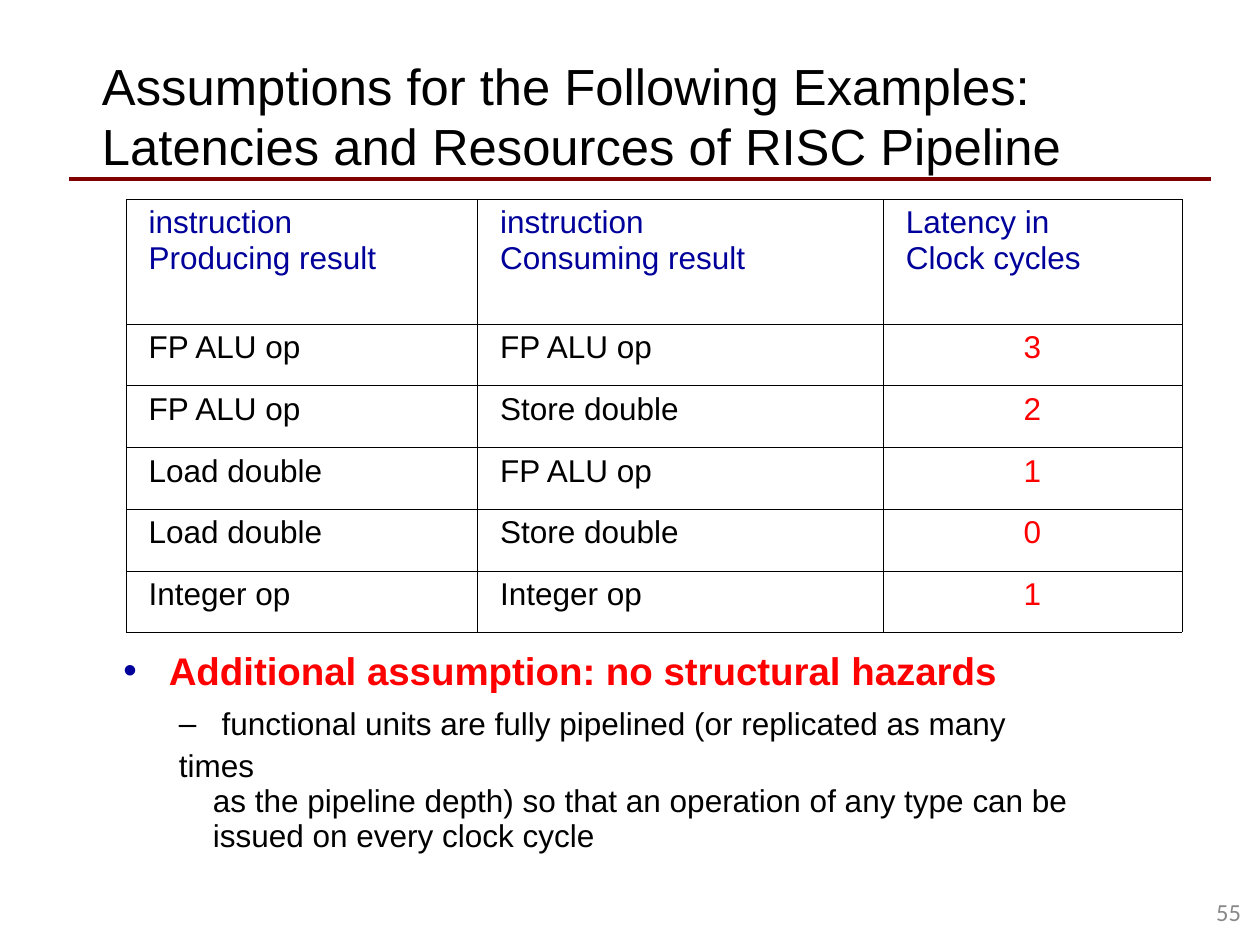
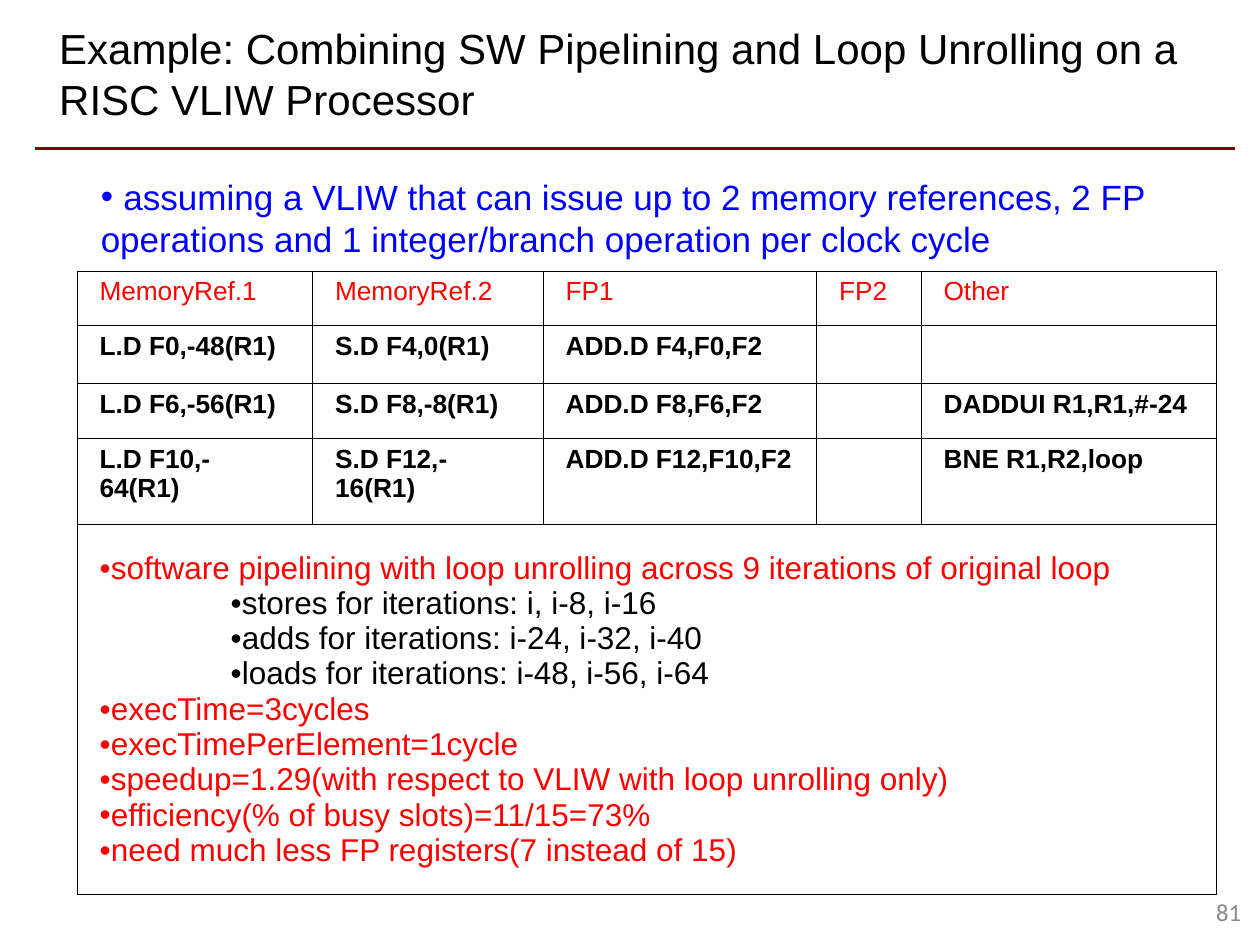
from lxml.etree import SubElement
from pptx import Presentation
from pptx.dml.color import RGBColor
from pptx.enum.shapes import MSO_CONNECTOR
from pptx.enum.text import MSO_ANCHOR, PP_ALIGN
from pptx.oxml.ns import qn
from pptx.util import Inches, Pt

BLACK = RGBColor(0x00, 0x00, 0x00)
WHITE = RGBColor(0xFF, 0xFF, 0xFF)
RED = RGBColor(0xFF, 0x00, 0x00)
NAVY = RGBColor(0x00, 0x00, 0x9A)
BLUE = RGBColor(0x00, 0x00, 0xFF)
MAROON = RGBColor(0x80, 0x00, 0x00)
GRAY = RGBColor(0x89, 0x89, 0x89)

NO_INSETS = (0, 0, 0, 0.09)
BOX_INSETS = (0.18, 0.09, 0.18, 0.09)
CELL_INSETS = (0.18, 0.05, 0.18, 0.05)

# Paragraphs are (text, format) pairs; the format keys are those of add_paragraphs.
LATENCY_TITLE = [
    ("Assumptions for the Following Examples:", {"spacing": 40.1}),
    ("Latencies and Resources of RISC Pipeline", {"spacing": 34.6}),
]
LATENCY_HEADER = [
    ("instruction", "Producing result"),
    ("instruction", "Consuming result"),
    ("Latency in", "Clock cycles"),
]
LATENCIES = [
    ("FP ALU op", "FP ALU op", "3"),
    ("FP ALU op", "Store double", "2"),
    ("Load double", "FP ALU op", "1"),
    ("Load double", "Store double", "0"),
    ("Integer op", "Integer op", "1"),
]
ASSUMPTION = [
    ("Additional assumption: no structural hazards",
     {"spacing": 29.1, "bullet": NAVY, "margin": 0.36, "indent": -0.36}),
]
ASSUMPTION_DETAIL = [
    ("functional units are fully pipelined (or replicated as many",
     {"spacing": 23.7, "bullet": BLACK, "sign": "–", "margin": 0.34, "indent": -0.34}),
    ("times", {"spacing": 23.7}),
    ("as the pipeline depth) so that an operation of any type can be",
     {"spacing": 20, "margin": 0.27}),
    ("issued on every clock cycle", {"spacing": 20, "margin": 0.27}),
]

VLIW_TITLE = [
    ("Example: Combining SW Pipelining and Loop Unrolling on a RISC VLIW Processor", {}),
]
VLIW_ASSUMPTION = [
    ("assuming a VLIW that can issue up to 2 memory references, 2 FP",
     {"bullet": BLUE, "margin": 0.18, "indent": -0.18}),
    ("operations and 1 integer/branch operation per clock cycle", {}),
]
SCHEDULE_HEADER = ("MemoryRef.1", "MemoryRef.2", "FP1", "FP2", "Other")
SCHEDULE = [
    ("L.D F0,-48(R1)", "S.D F4,0(R1)", "ADD.D F4,F0,F2", "", ""),
    ("L.D F6,-56(R1)", "S.D F8,-8(R1)", "ADD.D F8,F6,F2", "", "DADDUI R1,R1,#-24"),
    ("L.D F10,-64(R1)", "S.D F12,-16(R1)", "ADD.D F12,F10,F2", "", "BNE R1,R2,loop"),
]
MAIN_POINT = {"bullet": RED, "margin": 0.09, "indent": -0.09, "color": RED}
SUB_POINT = {"bullet": BLACK, "margin": 1.13, "indent": -0.09, "color": BLACK}
SCHEDULE_NOTES = [
    ("software pipelining with loop unrolling across 9 iterations of original loop", MAIN_POINT),
    ("stores for iterations: i, i-8, i-16", SUB_POINT),
    ("adds for iterations: i-24, i-32, i-40", SUB_POINT),
    ("loads for iterations: i-48, i-56, i-64", SUB_POINT),
    ("execTime=3cycles", MAIN_POINT),
    ("execTimePerElement=1cycle", MAIN_POINT),
    ("speedup=1.29(with respect to VLIW with loop unrolling only)", MAIN_POINT),
    ("efficiency(% of busy slots)=11/15=73%", MAIN_POINT),
    ("need much less FP registers(7 instead of 15)", MAIN_POINT),
]


def set_insets(target, insets):
    sides = ("margin_left", "margin_top", "margin_right", "margin_bottom")
    for side, inset in zip(sides, insets):
        setattr(target, side, Inches(inset))


def add_paragraphs(frame, paragraphs, size, color=BLACK, bold=False, font="Arial", align=PP_ALIGN.LEFT):
    """Fill a text frame; a paragraph may set spacing, bullet (its color), sign, margin, indent, color."""
    for number, (text, style) in enumerate(paragraphs):
        paragraph = frame.paragraphs[0] if number == 0 else frame.add_paragraph()
        properties = paragraph._p.get_or_add_pPr()
        properties.set("marL", str(Inches(style.get("margin", 0))))
        properties.set("indent", str(Inches(style.get("indent", 0))))
        if "bullet" in style:
            bullet_color = SubElement(properties, qn("a:buClr"))
            SubElement(bullet_color, qn("a:srgbClr"), val=str(style["bullet"]))
            SubElement(properties, qn("a:buFont"), typeface="Arial")
            SubElement(properties, qn("a:buChar"), char=style.get("sign", "•"))
        else:
            SubElement(properties, qn("a:buNone"))
        if "spacing" in style:
            paragraph.line_spacing = Pt(style["spacing"])
        paragraph.alignment = align
        run = paragraph.add_run()
        run.text = text
        for name, value in {"name": font, "size": Pt(size), "bold": bold}.items():
            setattr(run.font, name, value)
        run.font.color.rgb = style.get("color", color)


def add_text(slide, place, paragraphs, size, insets=BOX_INSETS, anchor=MSO_ANCHOR.TOP, **text_format):
    frame = slide.shapes.add_textbox(*map(Inches, place)).text_frame
    frame.word_wrap = True
    frame.vertical_anchor = anchor
    set_insets(frame, insets)
    add_paragraphs(frame, paragraphs, size, **text_format)


def add_title_rule(slide, left, right, top):
    rule = slide.shapes.add_connector(
        MSO_CONNECTOR.STRAIGHT, Inches(left), Inches(top), Inches(right), Inches(top))
    rule.line.color.rgb = MAROON
    rule.line.width = Pt(2)
    SubElement(rule._element.spPr, qn("a:effectLst"))


def add_slide_number(slide, number):
    add_text(slide, (5.8, 6.87, 4.23, 0.73), [(str(number), {})], 14, anchor=MSO_ANCHOR.MIDDLE,
             color=GRAY, font="Calibri", align=PP_ALIGN.RIGHT)


def add_grid(slide, left, top, widths, heights):
    """Add a white table with hairline borders."""
    table = slide.shapes.add_table(
        len(heights), len(widths), Inches(left), Inches(top),
        Inches(sum(widths)), Inches(sum(heights))).table
    for column, width in zip(table.columns, widths):
        column.width = Inches(width)
    for row, height in zip(table.rows, heights):
        row.height = Inches(height)
    for cell in table.iter_cells():
        set_insets(cell, CELL_INSETS)
        properties = cell._tc.get_or_add_tcPr()
        for side in ("lnL", "lnR", "lnT", "lnB"):
            border = SubElement(properties, qn(f"a:{side}"), w=str(Pt(0.06)))
            fill = SubElement(border, qn("a:solidFill"))
            SubElement(fill, qn("a:srgbClr"), val=str(BLACK))
        cell.fill.solid()
        cell.fill.fore_color.rgb = WHITE
    return table


def build_latency_slide(slide):
    add_title_rule(slide, 0.55, 9.61, 1.42)
    table = add_grid(slide, 1, 1.58, (2.79, 3.22, 2.37), [0.99] + [0.49] * len(LATENCIES))
    for column, lines in enumerate(LATENCY_HEADER):
        add_paragraphs(table.cell(0, column).text_frame, [(line, {}) for line in lines], 18, NAVY)
    for row, values in enumerate(LATENCIES, 1):
        for column, value in enumerate(values):
            is_latency = column == 2
            add_paragraphs(table.cell(row, column).text_frame, [(value, {})], 18,
                           RED if is_latency else BLACK,
                           align=PP_ALIGN.CENTER if is_latency else PP_ALIGN.LEFT)
    add_text(slide, (0.81, 0.36, 8, 1.13), LATENCY_TITLE, 29, NO_INSETS)
    add_text(slide, (0.98, 5.1, 7.5, 0.5), ASSUMPTION, 22, NO_INSETS, color=RED, bold=True)
    add_text(slide, (1.42, 5.56, 7.24, 0.98), ASSUMPTION_DETAIL, 18, NO_INSETS)
    add_slide_number(slide, 55)


def build_vliw_slide(slide):
    table = add_grid(slide, 0.61, 2.15, (1.87, 1.83, 2.17, 0.83, 2.34),
                     (0.43, 0.46, 0.44, 0.68, 2.94))
    for row, values in enumerate([SCHEDULE_HEADER] + SCHEDULE):
        for column, value in enumerate(values):
            if value:
                add_paragraphs(table.cell(row, column).text_frame, [(value, {})], 15,
                               BLACK if row else RED, bold=row > 0)
    notes = table.cell(4, 0)
    notes.merge(table.cell(4, 4))
    notes.vertical_anchor = MSO_ANCHOR.MIDDLE
    add_paragraphs(notes.text_frame, SCHEDULE_NOTES, 18)
    add_title_rule(slide, 0.28, 9.8, 1.18)
    add_text(slide, (0.29, 0.09, 9.38, 0.98), VLIW_TITLE, 24)
    add_text(slide, (0.62, 1.3, 8.76, 0.85), VLIW_ASSUMPTION, 20, color=BLUE)
    add_slide_number(slide, 81)


def main():
    presentation = Presentation()
    presentation.slide_width = Inches(10)
    presentation.slide_height = Inches(7.5)
    for build in (build_latency_slide, build_vliw_slide):
        build(presentation.slides.add_slide(presentation.slide_layouts[6]))
    presentation.save("out.pptx")


if __name__ == "__main__":
    main()
